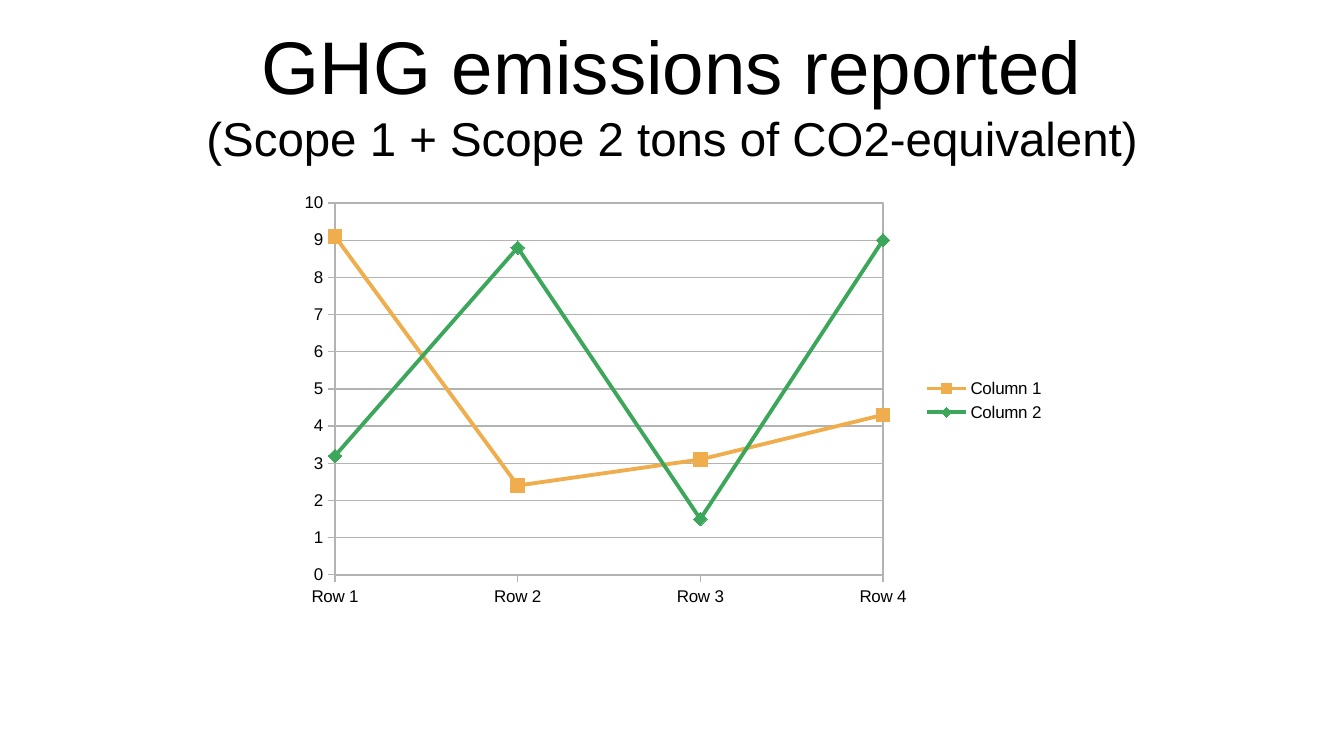
from pptx import Presentation
from pptx.chart.data import CategoryChartData
from pptx.dml.color import RGBColor
from pptx.enum.chart import XL_CHART_TYPE as CT, XL_LEGEND_POSITION as LP
from pptx.enum.chart import XL_MARKER_STYLE as MS, XL_TICK_MARK as TM
from pptx.enum.text import MSO_ANCHOR, PP_ALIGN
from pptx.oxml import parse_xml
from pptx.oxml.ns import nsdecls, qn
from pptx.util import Pt

SCALE = 914400 / 122  # EMU per pixel
COLORS = {"text": "000000", "grid": "B3B3B3", "orange": "F0AD4E", "green": "3CA65B"}


def px(*lengths):
    """Turn pixel lengths into EMU."""
    return [round(n * SCALE) for n in lengths]


class Deck:
    """Holds the style and the current slide."""

    def __init__(self, width, height, font="Arial"):
        """Start a presentation with one blank slide."""
        self.prs = Presentation()
        self.prs.slide_width, self.prs.slide_height = px(width, height)
        self.font = font
        self.s = self.prs.slides.add_slide(self.prs.slide_layouts[6])

    def color(self, name):
        """Look up a colour by name."""
        return RGBColor.from_string(COLORS[name])

    def style_font(self, font, size):
        """Apply the text style to a font."""
        font.name, font.size = self.font, Pt(size)
        font.color.rgb = self.color("text")

    def style_line(self, line, color, width):
        """Set the colour and width of a line."""
        line.color.rgb = self.color(color)
        line.width = Pt(width)

    def title(self, box, lines):
        """Add centred lines, each given as text and size."""
        tf = self.s.shapes.add_textbox(*px(*box)).text_frame
        tf.word_wrap, tf.vertical_anchor = True, MSO_ANCHOR.MIDDLE
        tf.margin_left = tf.margin_right = tf.margin_top = tf.margin_bottom = 0
        tf.text = "\n".join(text for text, _ in lines)
        for p, (_, size) in zip(tf.paragraphs, lines):
            p.alignment = PP_ALIGN.CENTER
            self.style_font(p.runs[0].font, size)

    def line_chart(self, box, plot_box, cats, series):
        """Add a line chart; series hold name, values, colour and marker."""
        data = CategoryChartData()
        data.categories = cats
        for name, values, *_ in series:
            data.add_series(name, values)
        chart = self.s.shapes.add_chart(CT.LINE_MARKERS, *px(*box), data).chart
        chart.has_title = False
        self.style_font(chart.font, 10)
        chart.has_legend = True
        chart.legend.position = LP.RIGHT
        chart.legend.include_in_layout = False
        self.style_font(chart.legend.font, 10)

        for axis in (chart.category_axis, chart.value_axis):
            axis.major_tick_mark, axis.minor_tick_mark = TM.OUTSIDE, TM.NONE
            self.style_font(axis.tick_labels.font, 10)
            self.style_line(axis.format.line, "grid", 0.74)
        values_axis = chart.value_axis
        values_axis.minimum_scale, values_axis.maximum_scale = 0, 10
        values_axis.major_unit = 1
        self.style_line(values_axis.major_gridlines.format.line, "grid", 0.74)

        chart.plots[0].vary_by_categories = False
        for ser, (_, _, color, marker) in zip(chart.plots[0].series, series):
            ser.smooth = False
            self.style_line(ser.format.line, color, 2.27)
            ser.marker.style, ser.marker.size = marker, 8
            ser.marker.format.fill.solid()
            ser.marker.format.fill.fore_color.rgb = self.color(color)
            self.style_line(ser.marker.format.line, color, 0.75)
        self.frame_plot(chart, box, plot_box)

    def frame_plot(self, chart, box, plot_box):
        """Place and outline the plot, with the end points on its sides."""
        area = chart.plots[0]._element.getparent()
        for old in area.findall(qn("c:layout")):
            area.remove(old)
        left, top, width, height = box
        x, y, w, h = plot_box
        parts = {"x": (x - left) / width, "y": (y - top) / height,
                 "w": w / width, "h": h / height}
        modes = "".join(f'<c:{k}Mode val="edge"/>' for k in "xy")
        sizes = "".join(f'<c:{k} val="{v:.4f}"/>' for k, v in parts.items())
        area.insert(0, parse_xml(
            f'<c:layout {nsdecls("c")}><c:manualLayout><c:layoutTarget val="inner"/>'
            f'{modes}{sizes}</c:manualLayout></c:layout>'))
        area.append(parse_xml(
            f'<c:spPr {nsdecls("c", "a")}><a:noFill/><a:ln w="9398"><a:solidFill>'
            f'<a:srgbClr val="{COLORS["grid"]}"/></a:solidFill></a:ln></c:spPr>'))
        axis = chart.value_axis._element
        for old in axis.findall(qn("c:crossBetween")):
            axis.remove(old)
        axis.find(qn("c:crosses")).addnext(
            parse_xml(f'<c:crossBetween {nsdecls("c")} val="midCat"/>'))


deck = Deck(1344, 756)
deck.title((67, 20, 1210, 146), [
    ("GHG emissions reported", 44),
    ("(Scope 1 + Scope 2 tons of CO2-equivalent)", 28),
])
deck.line_chart(
    (290, 185, 767, 431), (335, 203, 548, 372),
    [f"Row {n}" for n in range(1, 5)],
    [("Column 1", (9.1, 2.4, 3.1, 4.3), "orange", MS.SQUARE),
     ("Column 2", (3.2, 8.8, 1.5, 9), "green", MS.DIAMOND)],
)
deck.prs.save("out.pptx")
